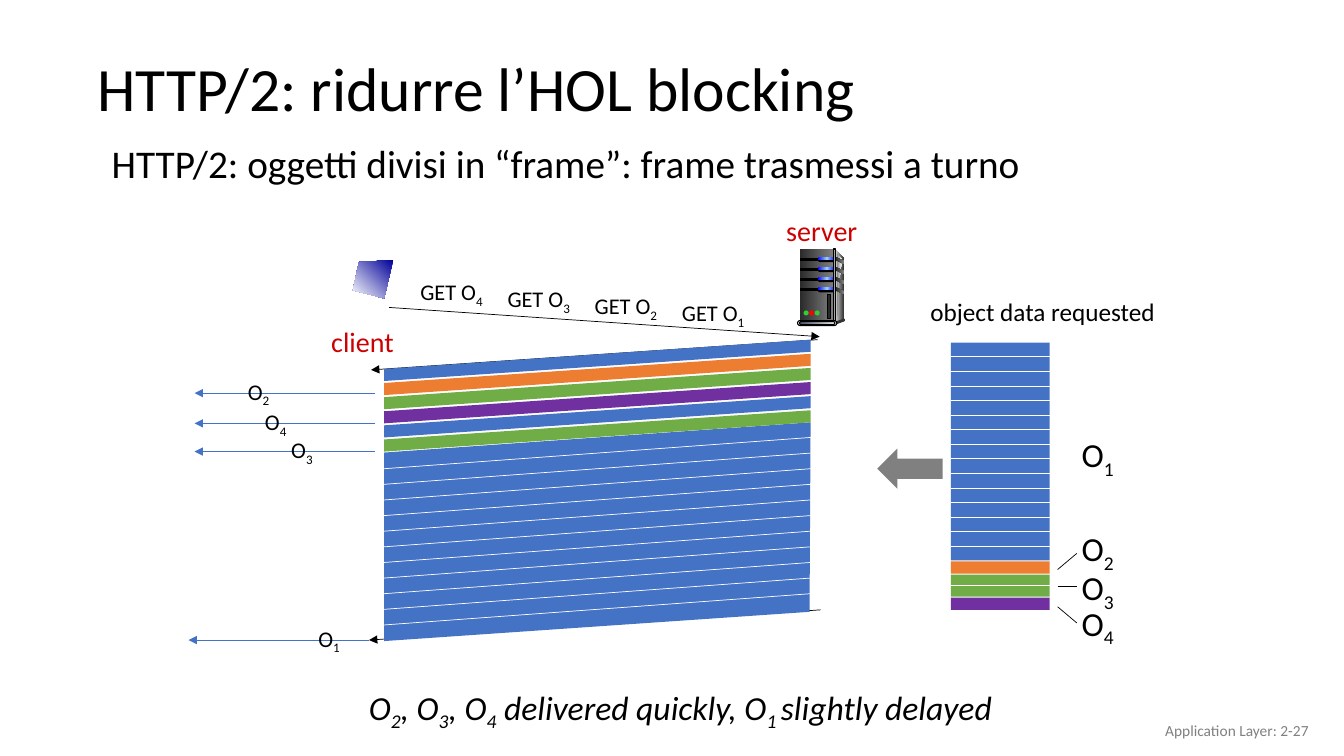
from dataclasses import dataclass

from lxml.etree import SubElement
from pptx import Presentation
from pptx.dml.color import RGBColor
from pptx.enum.shapes import MSO_CONNECTOR, MSO_SHAPE as Preset
from pptx.enum.text import MSO_ANCHOR as Anchor, PP_ALIGN as Align
from pptx.oxml.ns import qn
from pptx.util import Inches, Pt


@dataclass(frozen=True)
class Theme:
    font: str = "Calibri"
    black: str = "000000"
    white: str = "FFFFFF"
    red: str = "CC0000"
    gray: str = "808080"
    blue: str = "4472C4"
    orange: str = "ED7D31"
    green: str = "70AD47"
    purple: str = "7030A0"
    title: int = 44
    body: int = 28
    large: int = 24
    role: int = 20
    caption: int = 18
    label: int = 16
    footer: int = 11
    hairline: float = 0.5
    outline: float = 0.75


THEME = Theme()
METAL = ("292929", "808080")
LED = ("0000FF", "99CCFF", "0000FF")


def rgb(color):
    return RGBColor.from_string(color)


def paint(shape, fill, line=None, angle=0):
    """Fill with one colour, or with a gradient when fill is a tuple."""
    shape.shadow.inherit = False
    if isinstance(fill, tuple):
        shape.fill.gradient()
        shape.fill.gradient_angle = angle
        stops = shape._element.spPr.find(".//" + qn("a:gsLst"))
        for stop in list(stops):
            stops.remove(stop)
        for index, color in enumerate(fill):
            position = index * 100000 // (len(fill) - 1)
            stop = SubElement(stops, qn("a:gs"), pos=str(position))
            SubElement(stop, qn("a:srgbClr"), val=color)
    else:
        shape.fill.solid()
        shape.fill.fore_color.rgb = rgb(fill)
    if line:
        shape.line.color.rgb = rgb(line)
        shape.line.width = Pt(THEME.outline)
    else:
        shape.line.fill.background()


def add_preset(shapes, preset, at, fill, line=None):
    shape = shapes.add_shape(preset, *map(Inches, at))
    if preset == Preset.ROUNDED_RECTANGLE:
        shape.adjustments[0] = 0.5
    paint(shape, fill, line)


def add_polygon(shapes, points, fill, angle=0):
    corners = [(Inches(x), Inches(y)) for x, y in points]
    builder = shapes.build_freeform(*corners[0])
    builder.add_line_segments(corners[1:], close=True)
    paint(builder.convert_to_shape(), fill, angle=angle)


def add_line(shapes, start, end, color=THEME.black, arrow=False):
    line = shapes.add_connector(MSO_CONNECTOR.STRAIGHT, *map(Inches, start + end))
    line.line.color.rgb = rgb(color)
    line.line.width = Pt(THEME.hairline)
    properties = line._element.spPr
    if arrow:
        SubElement(properties.find(qn("a:ln")), qn("a:tailEnd"), type="triangle")
    SubElement(properties, qn("a:effectLst"))


def add_text(shapes, at, parts, size, color=THEME.black, align=Align.LEFT,
             anchor=Anchor.TOP, wrap=True, italic=False, indent=0, spacing=None):
    """Write parts in turn as normal and subscript runs."""
    box = shapes.add_textbox(*map(Inches, at))
    frame = box.text_frame
    frame.word_wrap = wrap
    frame.vertical_anchor = anchor
    para = frame.paragraphs[0]
    para.alignment = align
    if indent:
        para._p.get_or_add_pPr().set("marL", str(Inches(indent)))
    if spacing:
        para.line_spacing = spacing
    for index, part in enumerate(parts):
        span = para.add_run()
        span.text = part
        span.font.name = THEME.font
        span.font.size = Pt(size)
        span.font.color.rgb = rgb(color)
        span.font.italic = italic
        if index % 2:
            span.font._element.set("baseline", "-25000")


def add_server(page):
    shapes = page.shapes.add_group_shape().shapes
    rect, pill, dot = Preset.RECTANGLE, Preset.ROUNDED_RECTANGLE, Preset.OVAL
    add_polygon(shapes, [(8.29, 2.48), (8.37, 2.56), (8.37, 3.16), (8.28, 3.19)],
                ("DDDDDD", "333333"))
    add_preset(shapes, rect, (7.93, 2.47, 0.34, 0.72), METAL)
    add_polygon(shapes, [(8.3, 2.52), (8.35, 2.57), (8.31, 2.9), (8.3, 3.17)],
                ("808080", "F8F8F8"))
    for bay in range(4):
        top = 2.55 + 0.1 * bay
        add_preset(shapes, rect, (7.94, top + 0.01, 0.19, 0.02), THEME.black, THEME.black)
        add_preset(shapes, pill, (8.11, top, 0.19, 0.05), THEME.black)
        add_preset(shapes, pill, (8.11, top, 0.18, 0.03), LED)
        add_polygon(shapes, [(8.29, top), (8.37, top + 0.04),
                             (8.37, top + 0.07), (8.29, top + 0.03)], METAL)
    add_preset(shapes, rect, (8.27, 2.47, 0.02, 0.72),
               ("333333", "DDDDDD", "333333"), THEME.black)
    add_preset(shapes, dot, (8.36, 3.16, 0.02, 0.03), "333333")
    add_polygon(shapes, [(8.29, 3.19), (8.29, 3.22), (8.37, 3.19), (8.37, 3.16)], "333333")
    add_preset(shapes, pill, (7.91, 3.18, 0.39, 0.05), "DDDDDD", THEME.black)
    add_preset(shapes, pill, (7.93, 3.19, 0.35, 0.03), ("44546A", "E7E6E6"), THEME.black)
    for index, color in enumerate(("33CC33", "FF0000", "33CC33")):
        add_preset(shapes, dot, (7.97 + 0.055 * index, 3.08, 0.05, 0.05), color)
    add_preset(shapes, rect, (8.21, 2.92, 0.03, 0.24), "292929", THEME.black)


def add_requests(page):
    shapes = page.shapes
    add_polygon(shapes, [(3.9, 2.58), (3.56, 2.6), (3.5, 2.88), (3.81, 2.96)],
                ("000099", THEME.white), angle=225)
    add_line(shapes, (3.86, 3.05), (8.13, 3.34), arrow=True)
    for index, number in enumerate("4321"):
        at = (4.07 + 0.865 * index, 2.71 + 0.07 * index, 0.98, 0.37)
        add_text(shapes, at, ("GET O", number), THEME.label)


def add_frames(page):
    """Draw the slanted frames on their way from server to client."""
    shapes = page.shapes
    left, right, drop = 3.81, 8.04, 0.29
    add_line(shapes, (8.14, 6.05), (3.66, 6.35), arrow=True)
    add_line(shapes, (8.11, 3.37), (3.68, 3.67), arrow=True)
    add_polygon(shapes, [(right, 4.19), (left, 4.49), (left, 6.36), (8.03, 6.07)], THEME.blue)
    colors = (THEME.blue, THEME.orange, THEME.green, THEME.purple, THEME.blue, THEME.green)
    for index, color in enumerate(colors):
        top = 3.37 + 0.14 * index
        bottom = top + 0.12
        add_polygon(shapes, [(right, top), (left, top + drop),
                             (left, bottom + drop), (right, bottom)], color)
    for index in range(11):
        y = 4.65 + 0.155 * index
        add_line(shapes, (left, y), (right, y - 0.31), THEME.white)


def add_deliveries(page):
    for number, x, y in (("2", 2.36, 3.9), ("4", 2.53, 4.2), ("3", 2.79, 4.48), ("1", 3.06, 6.35)):
        start = 3.66 if number == "1" else 3.72
        add_line(page.shapes, (start, y), (start - 1.79, y), THEME.blue, arrow=True)
        add_text(page.shapes, (x, y - 0.2, 0.5, 0.37), ("O", number), THEME.label)


def add_requested_data(page):
    shapes = page.shapes
    left, width = 9.43, 0.98
    add_text(shapes, (9.13, 2.89, 2.8, 0.4), ("object data requested",), THEME.caption)
    add_preset(shapes, Preset.LEFT_ARROW, (8.7, 4.45, 0.65, 0.4), THEME.gray)
    for top, height, color in ((3.4, 2.16, THEME.blue), (5.57, 0.12, THEME.orange),
                               (5.7, 0.22, THEME.green), (5.93, 0.12, THEME.purple)):
        add_preset(shapes, Preset.RECTANGLE, (left, top, width, height), color)
    for y in [3.54 + 0.1446 * index for index in range(14)] + [5.81]:
        add_line(shapes, (left, y), (left + width, y), THEME.white)
    for number, top in zip("1234", (4.26, 5.19, 5.58, 5.93)):
        add_text(shapes, (10.63, top, 0.78, 0.77), ("O", number), THEME.large)
    for start, end in ((5.65, 5.49), (5.82, 5.82), (6.02, 6.18)):
        add_line(shapes, (10.49, start), (10.68, end))


def main():
    deck = Presentation()
    deck.slide_width, deck.slide_height = Inches(13.33), Inches(7.5)
    page = deck.slides.add_slide(deck.slide_layouts[6])
    shapes = page.shapes
    add_text(shapes, (0.87, 0.42, 11.5, 0.98), ("HTTP/2: ridurre l’HOL blocking",),
             THEME.title, anchor=Anchor.MIDDLE, spacing=0.9)
    add_text(shapes, (0.87, 1.39, 12.16, 0.55),
             ("HTTP/2: oggetti divisi in “frame”: frame trasmessi a turno",),
             THEME.body, indent=0.14, spacing=0.9)
    for role, at in (("client", (3.17, 3.17, 0.85, 0.43)), ("server", (7.69, 2.07, 0.92, 0.44))):
        add_text(shapes, at, (role,), THEME.role, THEME.red, Align.CENTER, wrap=False)
    for add_part in (add_server, add_requests, add_frames, add_deliveries, add_requested_data):
        add_part(page)
    add_text(shapes, (3.42, 6.77, 7.17, 0.55),
             ("O", "2", ", O", "3", ", O", "4", " delivered quickly, O", "1 ", "slightly delayed"),
             THEME.large, italic=True, indent=0.14, spacing=0.9)
    add_text(shapes, (10.08, 7.05, 3, 0.4), ("Application Layer: 2-27",), THEME.footer,
             THEME.gray, Align.RIGHT, Anchor.MIDDLE)
    deck.save("out.pptx")


if __name__ == "__main__":
    main()
